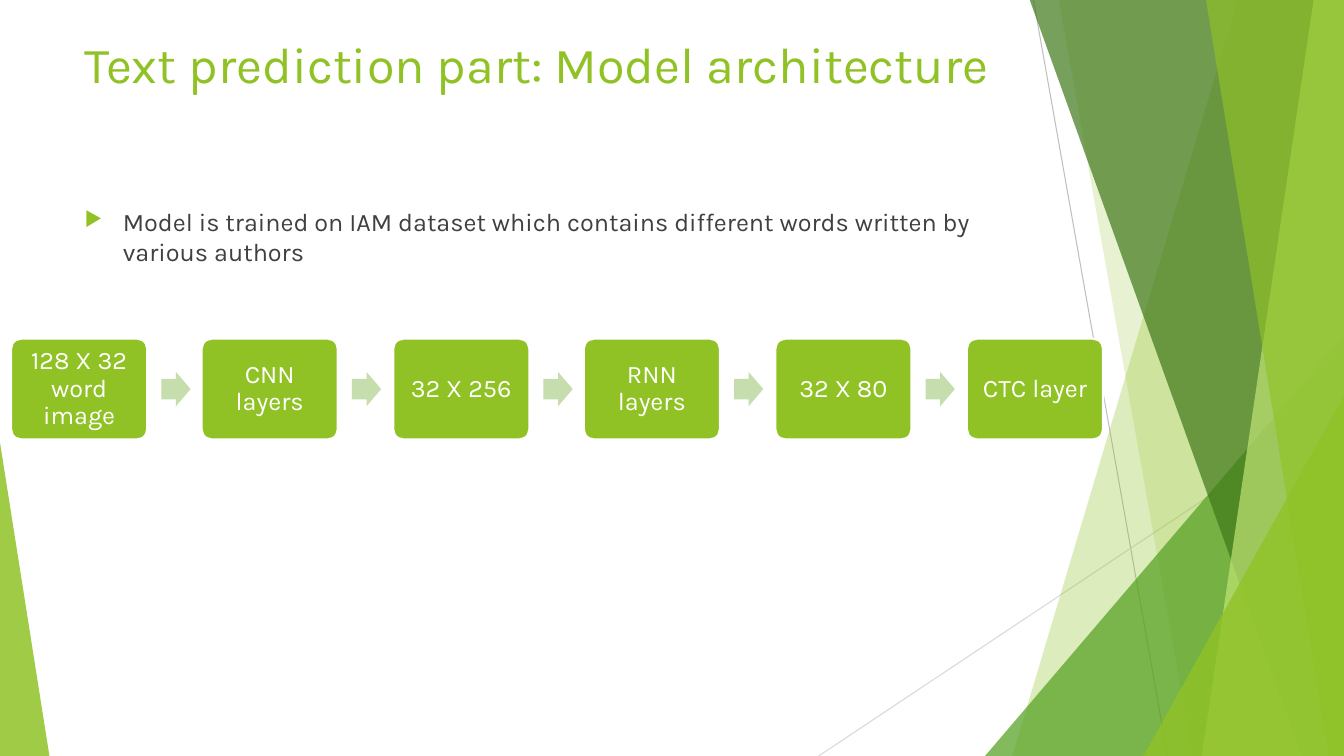
from lxml import etree
from pptx import Presentation
from pptx import util as u
from pptx.dml.color import RGBColor
from pptx.enum import shapes, text
from pptx.oxml.ns import qn

PX = 9144
COLORS = {
    "lime": "90C226", "green": "54A021", "forest": "3F7819", "pale": "C0E474",
    "arrow": "C6DDAD", "body": "404040", "white": "FFFFFF",
    "gray": "BFBFBF", "light_gray": "D9D9D9",
}


def paint(sp, color, alpha=100):
    sp.shadow.inherit = False
    sp.line.fill.background()
    sp.fill.solid()
    sp.fill.fore_color.rgb = RGBColor.from_string(COLORS[color])
    if alpha < 100:
        clr = sp._element.spPr.find(qn("a:solidFill"))[0]
        etree.SubElement(clr, qn("a:alpha"), val=str(alpha * 1000))


def write(sp, words, size, color, frame, para):
    tf = sp.text_frame
    for name, value in {"word_wrap": True, "auto_size": text.MSO_AUTO_SIZE.NONE, **frame}.items():
        setattr(tf, name, value)
    p = tf.paragraphs[0]
    for name, value in para.items():
        setattr(p, name, value)
    r = p.add_run()
    r.text = words
    for name, value in {"name": "Karla", "size": u.Pt(size)}.items():
        setattr(r.font, name, value)
    r.font.color.rgb = RGBColor.from_string(COLORS[color])
    return p


prs = Presentation()
prs.slide_width, prs.slide_height = 1333 * PX, 750 * PX
slide = prs.slides.add_slide(prs.slide_layouts[5])
tree = slide.shapes

for x1, y1, x2, y2, color in [
    (1025, 0, 1158, 750, "gray"),
    (1333, 403, 812, 750, "light_gray"),
]:
    line = tree.add_connector(shapes.MSO_CONNECTOR.STRAIGHT, x1 * PX, y1 * PX, x2 * PX, y2 * PX)
    line.line.width = u.Pt(0.75)
    line.line.color.rgb = RGBColor.from_string(COLORS[color])
    etree.SubElement(line._element.spPr, qn("a:effectLst"))

facets = [
    ("band", 1228, 1004, "lime", 30),
    ("band", 1050, 1183, "lime", 20),
    ("triangle", (977, 333, 356, 417), 1, "green", 72),
    ("band", 1021, 1291, "forest", 70),
    ("band", 1303, 1192, "pale", 70),
    ("band", 1196, 1318, "lime", 65),
    ("triangle", (1134, 393, 199, 357), 1, "lime", 80),
    ("triangle", (0, 439, 49, 311), 0, "lime", 85),
]
for kind, first, second, color, alpha in facets:
    if kind == "band":
        outline = tree.build_freeform(first, -1, scale=PX)
        outline.add_line_segments([(1333, -1), (1333, 750), (second, 750)], close=True)
        sp = outline.convert_to_shape()
    else:
        sp = tree.add_shape(shapes.MSO_SHAPE.ISOSCELES_TRIANGLE, *(v * PX for v in first))
        sp.adjustments[0] = second
    paint(sp, color, alpha)

title = tree.title
for name, value in {"left": 74, "top": 28, "width": 940, "height": 172 - 28}.items():
    setattr(title, name, value * PX)
write(title, "Text prediction part: Model architecture", 36, "lime",
      {"vertical_anchor": text.MSO_ANCHOR.TOP}, {"alignment": text.PP_ALIGN.LEFT})

body = tree.add_textbox(74 * PX, 200 * PX, 940 * PX, 424 * PX)
p = write(body, "Model is trained on IAM dataset which contains different words written by various authors",
          18, "body", {}, {"space_before": u.Pt(10)})
pPr = p._p.get_or_add_pPr()
pPr.set("marL", str(38 * PX))
pPr.set("indent", str(-38 * PX))
bullet_color = etree.SubElement(pPr, qn("a:buClr"))
etree.SubElement(bullet_color, qn("a:srgbClr"), val=COLORS["lime"])
etree.SubElement(pPr, qn("a:buSzPct"), val="80000")
etree.SubElement(pPr, qn("a:buChar"), char="▶")

steps = ["128 X 32 word image", "CNN layers", "32 X 256", "RNN layers", "32 X 80", "CTC layer"]
margins = {f"margin_{side}": 10 * PX for side in ("left", "top", "right", "bottom")}
for i, step in enumerate(steps):
    x = 11 + 948 * i // 5
    box = tree.add_shape(shapes.MSO_SHAPE.ROUNDED_RECTANGLE, x * PX, 336 * PX, 135 * PX, 100 * PX)
    box.adjustments[0] = 0.1
    paint(box, "lime")
    box.line.color.rgb = RGBColor.from_string(COLORS["white"])
    box.line.width = u.Pt(1.5)
    write(box, step, 18, "white", {"vertical_anchor": text.MSO_ANCHOR.MIDDLE, **margins},
          {"alignment": text.PP_ALIGN.CENTER, "line_spacing": 0.9})
    if i < len(steps) - 1:
        arrow = tree.add_shape(shapes.MSO_SHAPE.RIGHT_ARROW, (x + 149) * PX, 369 * PX, 29 * PX, 34 * PX)
        arrow.adjustments[0] = 0.6
        arrow.adjustments[1] = 0.5
        paint(arrow, "arrow")

prs.save("out.pptx")
